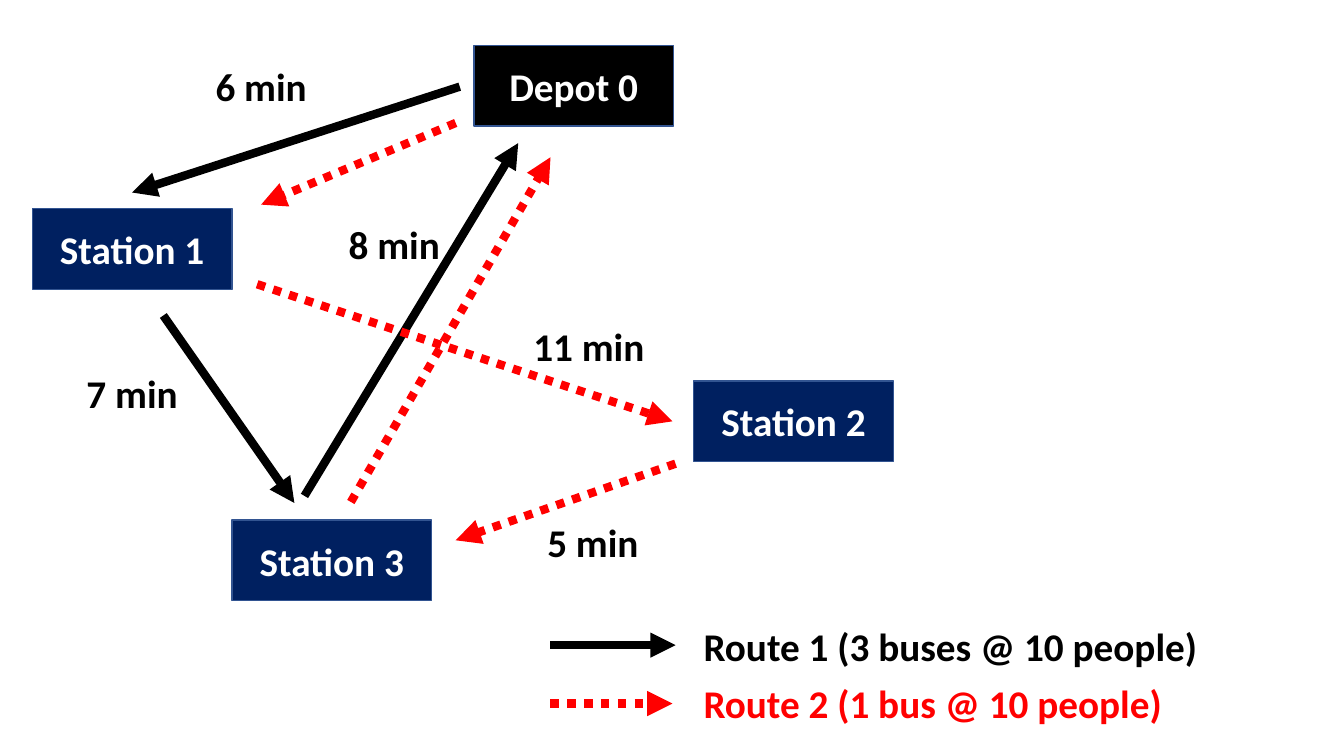
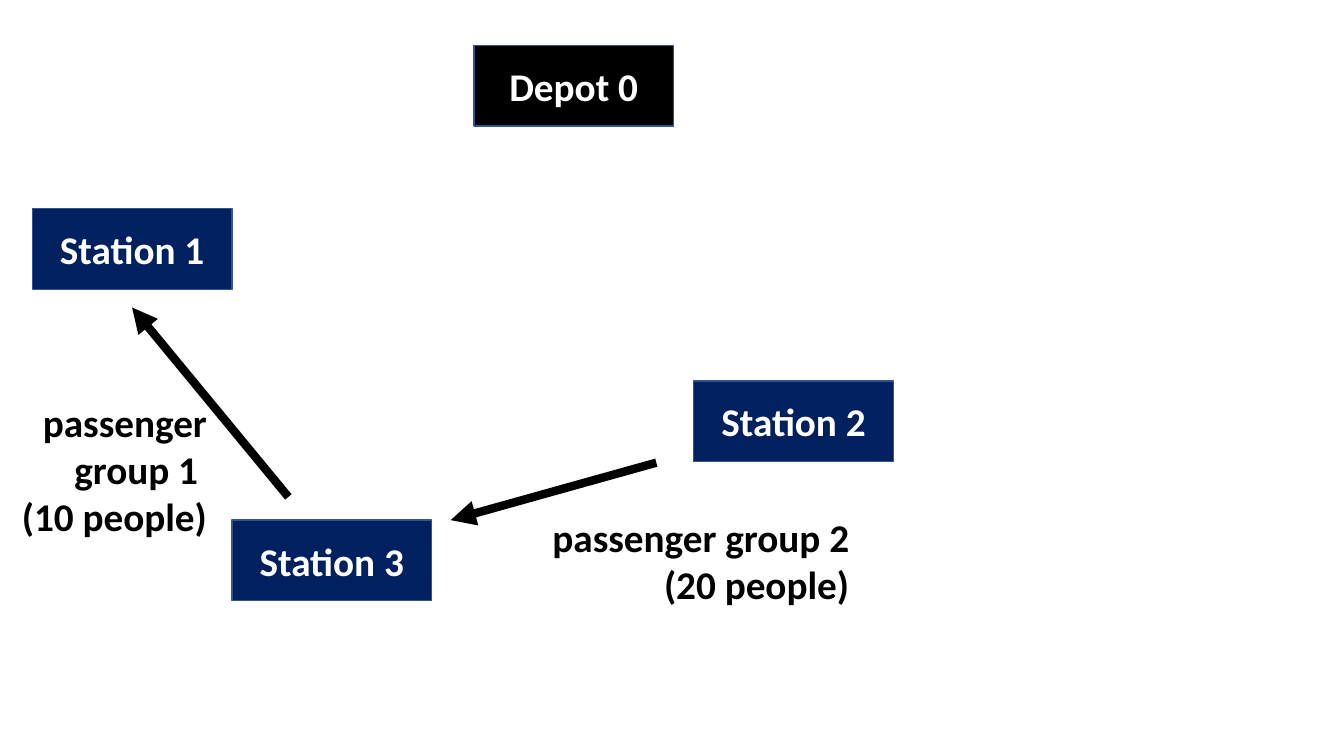
import lxml.etree
import pptx
import pptx.dml.color
import pptx.enum.dml
import pptx.enum.shapes
import pptx.enum.text
import pptx.oxml.ns
import pptx.util

Inches = pptx.util.Inches
RGBColor = pptx.dml.color.RGBColor
ALIGN = pptx.enum.text.PP_ALIGN

BLACK = RGBColor(0x00, 0x00, 0x00)
WHITE = RGBColor(0xFF, 0xFF, 0xFF)
RED = RGBColor(0xFF, 0x00, 0x00)
NAVY = RGBColor(0x00, 0x20, 0x60)
OUTLINE = RGBColor(0x32, 0x54, 0x91)

TEXT_FORMAT = {"name": "Calibri", "size": pptx.util.Pt(28), "bold": True}
STOP_WIDTH, STOP_HEIGHT = 1.98, 0.8
LABEL_HEIGHT = 0.57

# name, left, top, fill
STOPS = [
    ("Station 1", 0.32, 2.07, NAVY),
    ("Station 2", 6.88, 3.78, NAVY),
    ("Station 3", 2.3, 5.16, NAVY),
    ("Depot 0", 4.7, 0.45, BLACK),
]

# start x, start y, end x, end y
ROUTE_1 = [
    (4.56, 0.86, 1.31, 1.91),
    (1.62, 3.13, 2.92, 4.99),
    (3.02, 4.92, 5.14, 1.42),
]
ROUTE_2 = [
    (4.52, 1.22, 2.59, 2.03),
    (2.55, 2.82, 6.67, 4.18),
    (6.7, 4.6, 4.52, 5.36),
    (3.48, 4.98, 5.46, 1.56),
]
TRANSFERS = [
    (6.51, 4.59, 4.47, 5.16),
    (2.86, 4.93, 1.31, 3.05),
]

# text, left, top, width
TRAVEL_TIMES = [
    ("6 min", 2.03, 0.57, 1.12),
    ("8 min", 3.35, 2.14, 1.12),
    ("7 min", 0.75, 3.61, 1.12),
    ("11 min", 5.18, 3.15, 1.32),
    ("5 min", 5.32, 5.09, 1.12),
]


def write_lines(frame, lines, color, align):
    for index, line in enumerate(lines):
        para = frame.paragraphs[0] if index == 0 else frame.add_paragraph()
        para.alignment = align
        span = para.add_run()
        span.text = line
        for name, value in TEXT_FORMAT.items():
            setattr(span.font, name, value)
        span.font.color.rgb = color


def add_stop(page, name, left, top, fill):
    box = page.shapes.add_shape(
        pptx.enum.shapes.MSO_SHAPE.RECTANGLE,
        Inches(left), Inches(top), Inches(STOP_WIDTH), Inches(STOP_HEIGHT))
    box.shadow.inherit = False
    box.fill.solid()
    box.fill.fore_color.rgb = fill
    box.line.color.rgb = OUTLINE
    box.line.width = pptx.util.Pt(1)
    box.text_frame.vertical_anchor = pptx.enum.text.MSO_ANCHOR.MIDDLE
    write_lines(box.text_frame, [name], WHITE, ALIGN.CENTER)


def add_label(page, lines, left, top, width, height=LABEL_HEIGHT,
              color=BLACK, align=ALIGN.CENTER, wrap=False):
    box = page.shapes.add_textbox(
        Inches(left), Inches(top), Inches(width), Inches(height))
    box.text_frame.word_wrap = wrap
    box.text_frame.auto_size = pptx.enum.text.MSO_AUTO_SIZE.SHAPE_TO_FIT_TEXT
    write_lines(box.text_frame, lines, color, align)


def add_arrow(page, ends, color=BLACK, dotted=False):
    arrow = page.shapes.add_connector(
        pptx.enum.shapes.MSO_CONNECTOR.STRAIGHT,
        *[Inches(value) for value in ends])
    arrow.line.color.rgb = color
    arrow.line.width = pptx.util.Pt(6)
    if dotted:
        # ROUND_DOT is the preset that is stored as sysDot
        arrow.line.dash_style = pptx.enum.dml.MSO_LINE.ROUND_DOT
    properties = arrow.element.spPr
    outline = properties.find(pptx.oxml.ns.qn("a:ln"))
    lxml.etree.SubElement(
        outline, pptx.oxml.ns.qn("a:tailEnd"), type="triangle")
    lxml.etree.SubElement(properties, pptx.oxml.ns.qn("a:effectLst"))


def add_network_page(deck):
    """Add a slide that holds the depot and the stations."""
    page = deck.slides.add_slide(deck.slide_layouts[6])
    for stop in STOPS:
        add_stop(page, *stop)
    return page


def build_routes(deck):
    page = add_network_page(deck)
    for ends in ROUTE_1:
        add_arrow(page, ends)
    for ends in ROUTE_2:
        add_arrow(page, ends, RED, dotted=True)
    for text, left, top, width in TRAVEL_TIMES:
        add_label(page, [text], left, top, width)

    add_arrow(page, (5.46, 6.4, 6.7, 6.4))
    add_label(page, ["Route 1 (3 buses @ 10 people)"], 6.88, 6.12, 5.15,
              align=ALIGN.LEFT)
    add_arrow(page, (5.46, 6.98, 6.67, 6.98), RED, dotted=True)
    add_label(page, ["Route 2 (1 bus @ 10 people)"], 6.88, 6.69, 4.8,
              color=RED, align=ALIGN.LEFT)


def build_passengers(deck):
    page = add_network_page(deck)
    for ends in TRANSFERS:
        add_arrow(page, ends)
    add_label(page, ["passenger group 1 ", "(10 people)"],
              0, 3.9, 2.15, 1.51, align=ALIGN.RIGHT, wrap=True)
    add_label(page, ["passenger group 2", "(20 people)"],
              5.25, 5.04, 3.27, 1.04, align=ALIGN.RIGHT)


def main():
    deck = pptx.Presentation()
    deck.slide_width = Inches(13.33)
    deck.slide_height = Inches(7.5)
    build_routes(deck)
    build_passengers(deck)
    deck.save("out.pptx")


if __name__ == "__main__":
    main()
